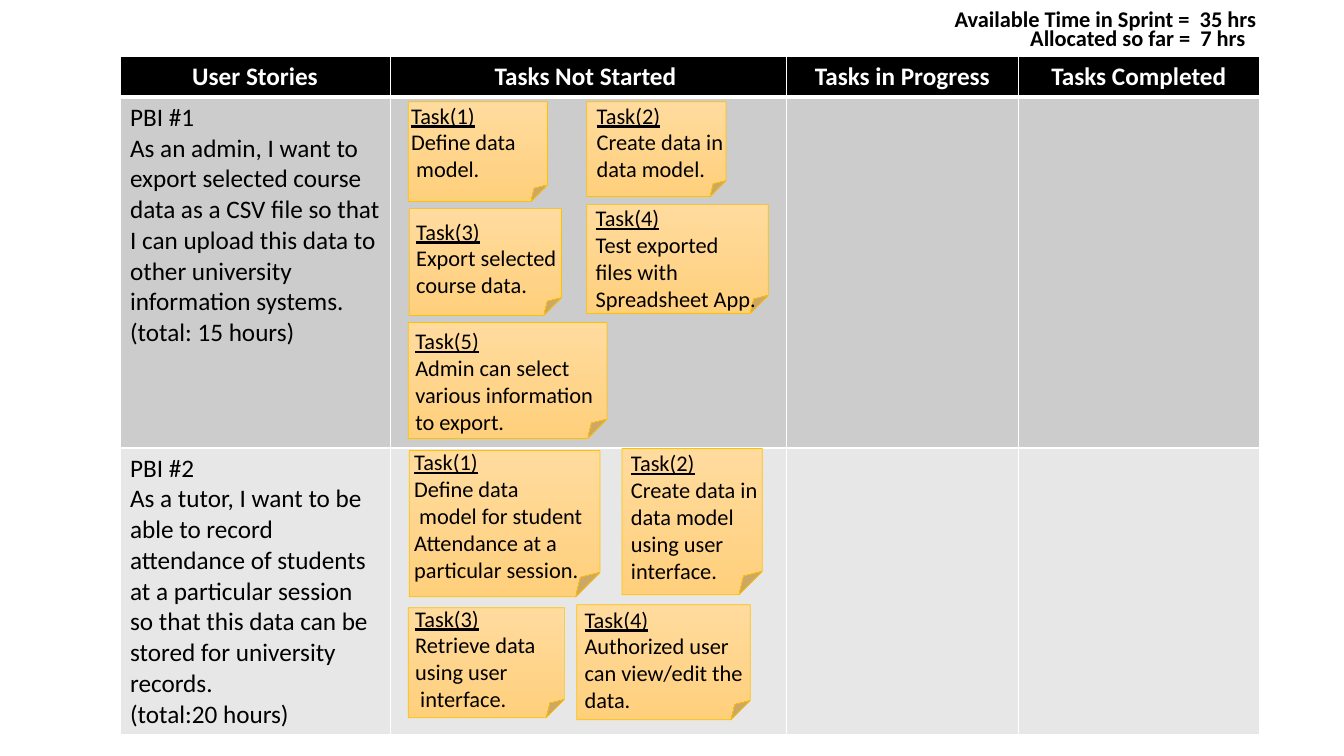
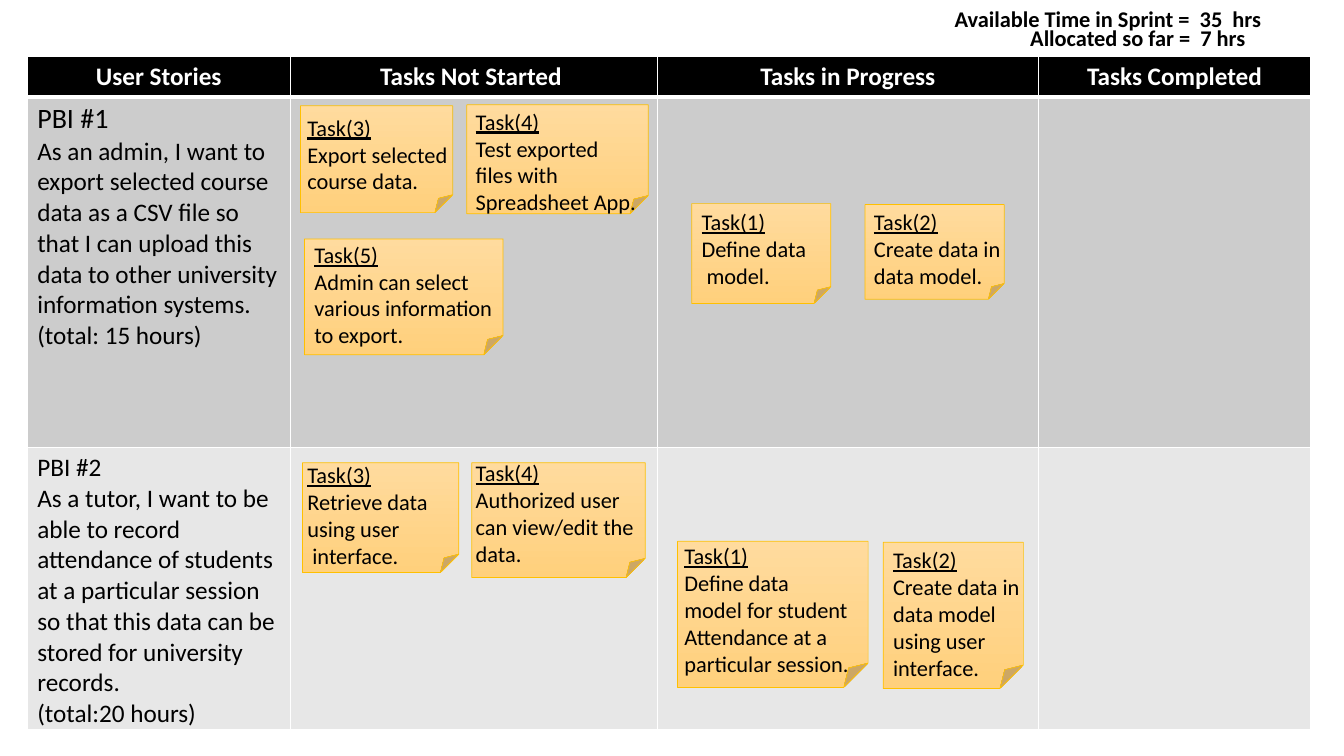
from itertools import product

from lxml import etree
from pptx import Presentation
from pptx import util as u
from pptx.dml.color import RGBColor
from pptx.enum import shapes, text
from pptx.oxml.ns import qn

FONT = "Calibri"
BLACK, WHITE = "000000", "FFFFFF"
BANDS = (BLACK, "CCCCCC", "E7E7E7")
PAPER, EDGE = ("FFDB9E", "FFD07C"), "FFC000"
TOP, ROWS = 0.56, (0.38, 3.48, 2.66)
LINE, PAD = 0.27, 0.1
HEADS = ("User Stories", "Tasks Not Started ", "Tasks in Progress", "Tasks Completed")
STORIES = (
    ("PBI #1",
     "As an admin, I want to export selected course data as a CSV file so that "
     "I can upload this data to other university information systems.",
     "(total: 15 hours)"),
    ("PBI #2",
     "As a tutor, I want to be able to record attendance of students at a "
     "particular session so that this data can be stored for university records.",
     "(total:20 hours)"),
)
NOTES = {
    (1, 1): (1.38, 0.99, 3, ("Define data", " model.")),
    (1, 2): (1.38, 0.94, 3, ("Create data in", "data model.")),
    (1, 3): (1.51, 1.06, 3, ("Export selected course data.",)),
    (1, 4): (1.8, 1.08, 4, ("Test exported", "files with", "Spreadsheet App.")),
    (1, 5): (1.97, 1.15, 4, ("Admin can select various information", "to export.")),
    (2, 1): (1.89, 1.45, 5, ("Define data", " model for student Attendance at a particular session.")),
    (2, 2): (1.39, 1.45, 5, ("Create data in", "data model", "using user", "interface.")),
    (2, 3): (1.55, 1.09, 4, ("Retrieve data", "using user", " interface.")),
    (2, 4): (1.72, 1.14, 4, ("Authorized user", "can view/edit the data.")),
}
LATER = NOTES | {
    (2, 1): (1.89, 1.45, 5, ("Define data", "model for student Attendance at a particular session.")),
}
PLAN = (
    (1, 1, 1, 0.18, 0.07, -0.07, -0.05),
    (1, 1, 2, 1.95, 0.07, 0, -0.05),
    (1, 1, 3, 0.19, 1.13, -0.03, 0.04),
    (1, 1, 4, 1.95, 1.09, -0.01, -0.05),
    (1, 1, 5, 0.18, 2.26, -0.03, 0),
    (1, 2, 1, 0.19, 0.05, -0.05, -0.07),
    (1, 2, 2, 2.3, 0.03, -0.01, -0.04),
    (1, 2, 3, 0.18, 1.61, -0.03, -0.08),
    (1, 2, 4, 1.85, 1.58, -0.02, -0.04),
)
MOVED = (
    (1, 1, 3, 0.1, 0.11, -0.03, 0.03),
    (1, 1, 4, 1.75, 0.1, -0.01, -0.02),
    (1, 1, 5, 0.14, 1.43, 0, -0.03),
    (1, 2, 3, 0.12, 0.17, -0.05, -0.06),
    (1, 2, 4, 1.8, 0.17, -0.06, -0.08),
    (2, 1, 1, 0.34, 1.08, 0, 0),
    (2, 1, 2, 2.06, 1.09, -0.01, -0.01),
    (2, 2, 1, 0.2, 0.95, -0.03, -0.04),
    (2, 2, 2, 2.24, 0.96, 0, -0.01),
)


def tint(code):
    """Turn a hex string into a colour."""
    return RGBColor.from_string(code)


def place(*box):
    """Turn inches into lengths."""
    return [u.Inches(side) for side in box]


def write(frame, lines, size=16, color=BLACK, bold=False, align=None, lead=None, under=False):
    """Fill a text frame, one paragraph a line; lead and under format the first."""
    frame.word_wrap = True
    for at, line in enumerate(lines):
        para = frame.paragraphs[0] if at == 0 else frame.add_paragraph()
        para.alignment = align
        run = para.add_run()
        run.text = line
        font = run.font
        font.name, font.bold = FONT, bold
        font.size = u.Pt(lead if lead and at == 0 else size)
        font.color.rgb = tint(color)
        if under and at == 0:
            font.underline = True


def label(parts, box, lines, **look):
    """Add a text box."""
    item = parts.add_textbox(*place(*box))
    write(item.text_frame, lines, **look)


def rule(cell, base):
    """Draw the white borders of a cell."""
    props = cell._tc.get_or_add_tcPr()
    for at, side in enumerate("LRTB"):
        width = base if side == "B" else 1
        line = etree.Element(qn(f"a:ln{side}"), w=str(u.Pt(width)))
        fill = etree.SubElement(line, qn("a:solidFill"))
        etree.SubElement(fill, qn("a:srgbClr"), val=WHITE)
        props.insert(at, line)


def grid(slide, left, cols, lead):
    """Add the board table with its heads and stories."""
    box = place(left, TOP, sum(cols), sum(ROWS))
    table = slide.shapes.add_table(len(ROWS), len(cols), *box).table
    table.horz_banding = table.first_row = False
    for parts, sizes in ((table.columns, cols), (table.rows, ROWS)):
        for part, size in zip(parts, sizes):
            if parts is table.columns:
                part.width = u.Inches(size)
            else:
                part.height = u.Inches(size)
    for row, col in product(range(len(ROWS)), range(len(cols))):
        cell = table.cell(row, col)
        cell.fill.solid()
        cell.fill.fore_color.rgb = tint(BANDS[row])
        rule(cell, 3 if row == 0 else 1)
        if row == 0:
            write(cell.text_frame, [HEADS[col]], size=18, color=WHITE, bold=True,
                  align=text.PP_ALIGN.CENTER)
        elif col == 0:
            write(cell.text_frame, STORIES[row - 1], size=18,
                  lead=lead if row == 1 else None)


def note(slide, left, top, task, data, shift):
    """Add a sticky note: a folded sheet grouped with its text."""
    wide, high, rows, lines = data
    parts = slide.shapes.add_group_shape().shapes
    sheet = parts.add_shape(shapes.MSO_SHAPE.FOLDED_CORNER, *place(left, top, wide, high))
    sheet.shadow.inherit = False
    sheet.fill.gradient()
    sheet.fill.gradient_angle = 270
    for stop, code in zip(sheet.fill.gradient_stops, PAPER):
        stop.color.rgb = tint(code)
    sheet.line.color.rgb = tint(EDGE)
    sheet.line.width = u.Pt(0.5)
    box = (left + shift[0], top + shift[1], 2.09 if task == 5 else 2.03, PAD + LINE * rows)
    label(parts, box, (f"Task({task})", *lines), under=True)


def board(deck, left, cols, plan, notes, hours, lead=None):
    """Build one sprint board slide."""
    slide = deck.slides.add_slide(deck.slide_layouts[6])
    grid(slide, left, cols, lead)
    for lane, story, task, across, down, *shift in plan:
        note(slide, left + sum(cols[:lane]) + across, TOP + sum(ROWS[:story]) + down,
             task, notes[story, task], shift)
    label(slide.shapes, (9.37, 0, 3.27, 0.37),
          [f"Available Time in Sprint =  {hours}"], bold=True)
    label(slide.shapes, (10.12, 0.19, 2.46, 0.37), ["Allocated so far =  7 hrs"], bold=True)


def main():
    """Build and save the deck."""
    deck = Presentation()
    deck.slide_width, deck.slide_height = place(13.33, 7.5)
    board(deck, 1.19, (2.68, 3.93, 2.3, 2.39), PLAN, NOTES, "35 hrs")
    board(deck, 0.27, (2.61, 3.64, 3.78, 2.7), MOVED, LATER, "35  hrs", lead=20)
    deck.save("out.pptx")


if __name__ == "__main__":
    main()
